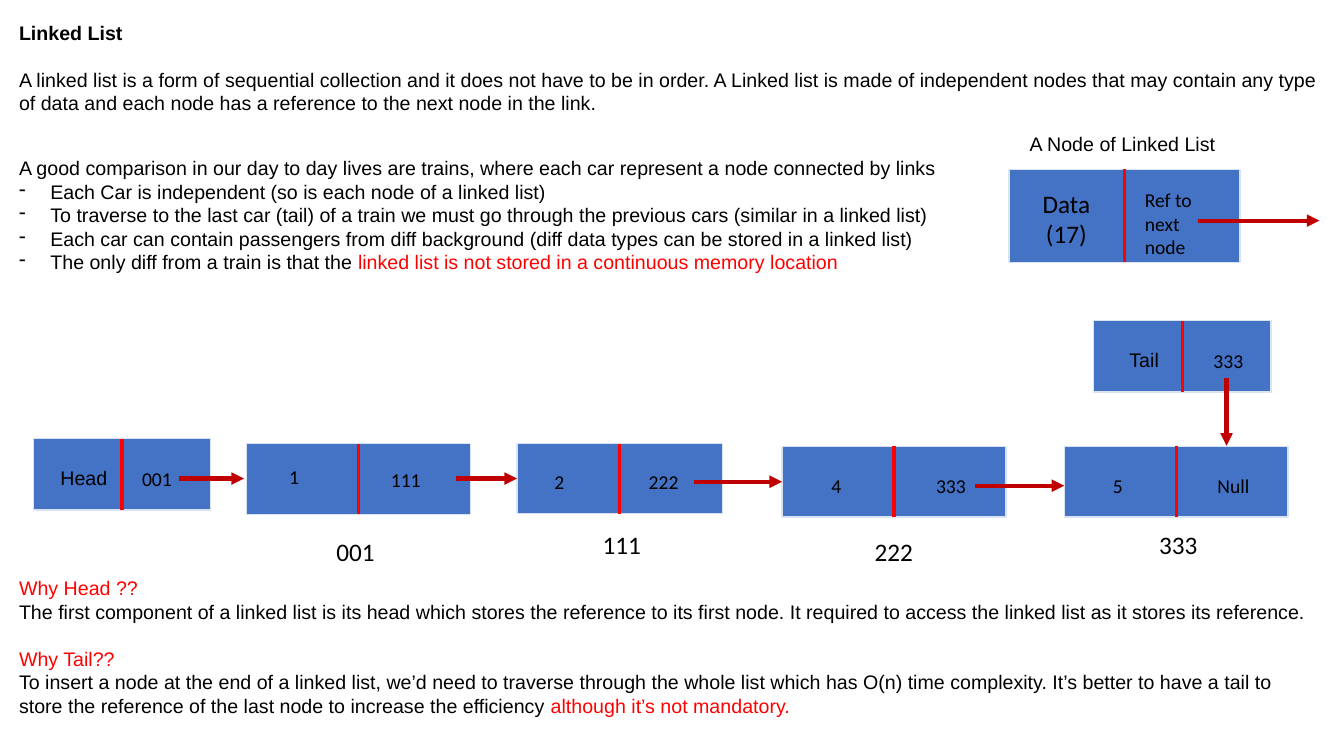
from lxml import etree
from pptx import Presentation
from pptx.dml.color import RGBColor
from pptx.enum import shapes, text
from pptx.oxml import ns
from pptx.util import Cm, Pt

BLACK, RED, DARK_RED = "000000", "FF0000", "C00000"
BLUE, PALE_BLUE = "4472C4", "DAE3F3"
LEFT, CENTER = text.PP_ALIGN.LEFT, text.PP_ALIGN.CENTER
LINE_GAP = 16.5

# Passages: (left, top, width, height), then paragraphs as
# (spans of (wording, colour), style), style being "", "bold", "bullet" or "gap"
PASSAGES = [
    ((0.23, 0.41, 33.38, 2.64), [
        ([("Linked List", BLACK)], "bold"),
        ([("A linked list is a form of sequential collection and it does not have to be in order. "
           "A Linked list is made of independent nodes that may contain any type", BLACK)], "gap"),
        ([("of data and each node has a reference to the next node in the link.", BLACK)], ""),
    ]),
    ((0.23, 3.81, 23.85, 3.25), [
        ([("A good comparison in our day to day lives are trains, "
           "where each car represent a node connected by links", BLACK)], ""),
        ([("Each Car is independent (so is each node of a linked list)", BLACK)], "bullet"),
        ([("To traverse to the last car (tail) of a train we must go through "
           "the previous cars (similar in a linked list)", BLACK)], "bullet"),
        ([("Each car can contain passengers from diff background "
           "(diff data types can be stored in a linked list)", BLACK)], "bullet"),
        ([("The only diff from a train is that the ", BLACK),
          ("linked list is not stored in a continuous memory location", RED)], "bullet"),
    ]),
    ((0.23, 14.4, 33.32, 3.84), [
        ([("Why Head ??", RED)], ""),
        ([("The first component of a linked list is its head which stores the reference to its "
           "first node. It required to access the linked list as it stores its reference.",
           BLACK)], ""),
        ([("Why Tail??", RED)], "gap"),
        ([("To insert a node at the end of a linked list, we’d need to traverse through the whole "
           "list which has O(n) time complexity. It’s better to have a tail to", BLACK)], ""),
        ([("store the reference of the last node to increase the efficiency ", BLACK),
          ("although it’s not mandatory.", RED)], ""),
    ]),
    ((25.7, 3.2, 5.21, 0.86), [([("A Node of Linked List", BLACK)], "")]),
]

# Nodes: (left, top, width, height)
NODES = {
    "sample": (25.43, 4.27, 5.82, 2.34),
    "head": (0.84, 11.05, 4.47, 1.8),
    "first": (6.22, 11.18, 5.64, 1.78),
    "second": (13.03, 11.18, 5.18, 1.76),
    "third": (19.71, 11.25, 5.64, 1.78),
    "last": (26.82, 11.25, 5.64, 1.78),
    "tail": (27.56, 8.08, 4.47, 1.8),
}

# Labels: lines, left, top, width, height, size, font, alignment
LABELS = [
    (["Data", "(17)"], 25.91, 4.62, 1.93, 1.65, 18, "Calibri", CENTER),
    (["Ref to next node"], 28.6, 4.62, 1.96, 1.88, 14, "Calibri", LEFT),
    (["Head"], 1.19, 11.61, 1.85, 0.86, 14, "Arial", CENTER),
    (["001"], 3.33, 11.63, 1.5, 0.86, 14, "Calibri", LEFT),
    (["1"], 7.04, 11.58, 1.88, 0.86, 14, "Calibri", LEFT),
    (["111"], 9.6, 11.66, 1.88, 0.86, 14, "Calibri", LEFT),
    (["2"], 13.72, 11.71, 1.17, 0.86, 14, "Calibri", LEFT),
    (["222"], 16.1, 11.71, 1.88, 0.86, 14, "Calibri", LEFT),
    (["4"], 20.14, 11.81, 1.88, 0.86, 14, "Calibri", CENTER),
    (["333"], 23.34, 11.81, 2.51, 0.86, 14, "Calibri", LEFT),
    (["5"], 27.23, 11.81, 1.88, 0.86, 14, "Calibri", CENTER),
    (["Null"], 30.43, 11.81, 2.51, 0.86, 14, "Calibri", LEFT),
    (["Tail"], 27.91, 8.64, 1.85, 0.86, 14, "Arial", CENTER),
    (["333"], 30.33, 8.66, 1.5, 0.86, 14, "Calibri", LEFT),
    (["001"], 8.23, 13.39, 1.5, 1.02, 18, "Calibri", LEFT),
    (["111"], 14.94, 13.21, 1.5, 1.02, 18, "Calibri", LEFT),
    (["222"], 21.79, 13.39, 1.5, 1.02, 18, "Calibri", LEFT),
    (["333"], 28.96, 13.21, 1.5, 1.02, 18, "Calibri", LEFT),
]

# Arrows: start x, start y, end x, end y, node whose left side is joined
ARROWS = [
    (30.2, 5.56, 33.25, 5.56, None),
    (4.52, 12.06, 6.15, 12.06, None),
    (11.48, 12.06, 13.03, 12.06, "second"),
    (17.48, 12.14, 19.71, 12.14, "third"),
    (24.56, 12.24, 26.82, 12.24, None),
    (30.91, 9.53, 30.91, 11.23, None),
]


def color(code):
    return RGBColor.from_string(code)


def set_font(font, size, name):
    font.size, font.name = Pt(size), name


def add_text_frame(page, place, wrap):
    frame = page.shapes.add_textbox(*map(Cm, place)).text_frame
    frame.word_wrap = wrap
    frame.auto_size = text.MSO_AUTO_SIZE.SHAPE_TO_FIT_TEXT
    return frame


def next_paragraph(frame, index):
    """Reuse the paragraph every frame starts with, then add more."""
    return frame.add_paragraph() if index else frame.paragraphs[0]


def add_passage(page, place, paragraphs):
    frame = add_text_frame(page, place, False)
    for index, (spans, style) in enumerate(paragraphs):
        para = next_paragraph(frame, index)
        set_font(para.font, 14, "Arial")
        para.font.bold = style == "bold"
        if style == "gap":
            para.space_before = Pt(LINE_GAP)
        if style == "bullet":
            props = para._p.get_or_add_pPr()
            props.set("marL", str(Cm(0.79)))
            props.set("indent", str(-Cm(0.79)))
            bullet = props.makeelement(ns.qn("a:buChar"), {"char": "-"})
            props.insert_element_before(bullet, "a:tabLst", "a:defRPr", "a:extLst")
        for wording, code in spans:
            span = para.add_run()
            span.text = wording
            span.font.color.rgb = color(code)


def add_label(page, lines, left, top, width, height, size, font, alignment):
    frame = add_text_frame(page, (left, top, width, height), True)
    for index, line in enumerate(lines):
        para = next_paragraph(frame, index)
        para.text, para.alignment = line, alignment
        set_font(para.font, size, font)
        para.font.color.rgb = color(BLACK)


def add_line(page, ends, code, width):
    line = page.shapes.add_connector(shapes.MSO_CONNECTOR.STRAIGHT, *map(Cm, ends))
    line.line.color.rgb = color(code)
    line.line.width = Pt(width)
    etree.SubElement(line._element.spPr, ns.qn("a:effectLst"))
    return line


def add_node(page, left, top, width, height):
    """Draw a box split in two halves by a red divider."""
    box = page.shapes.add_shape(shapes.MSO_SHAPE.RECTANGLE,
                                *map(Cm, (left, top, width, height)))
    box.shadow.inherit = False
    box.fill.solid()
    box.fill.fore_color.rgb = color(BLUE)
    box.line.color.rgb = color(PALE_BLUE)
    box.line.width = Pt(1)
    middle = left + width / 2
    divider = add_line(page, (middle, top, middle, top + height), RED, 2.25)
    divider.begin_connect(box, 0)
    divider.end_connect(box, 2)
    return box


def main():
    deck = Presentation()
    deck.slide_width, deck.slide_height = Cm(33.87), Cm(19.05)
    page = deck.slides.add_slide(deck.slide_layouts[6])
    for place, paragraphs in PASSAGES:
        add_passage(page, place, paragraphs)
    boxes = {name: add_node(page, *place) for name, place in NODES.items()}
    for label in LABELS:
        add_label(page, *label)
    for *ends, target in ARROWS:
        arrow = add_line(page, ends, DARK_RED, 3)
        etree.SubElement(arrow.line._get_or_add_ln(), ns.qn("a:tailEnd"), type="triangle")
        if target:
            arrow.end_connect(boxes[target], 1)
    deck.save("out.pptx")


if __name__ == "__main__":
    main()
